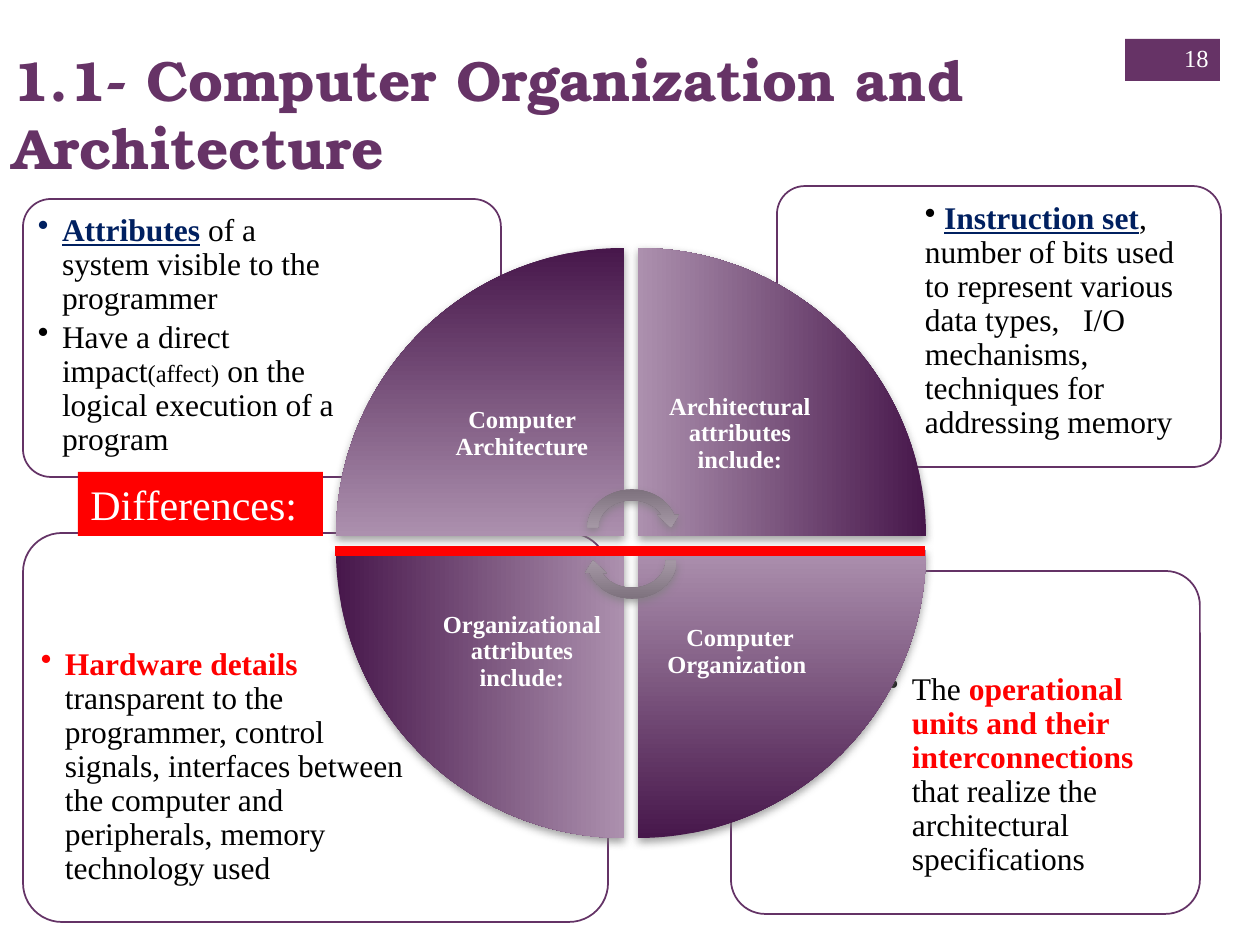
from lxml.etree import SubElement
from pptx import Presentation
from pptx.dml.color import RGBColor
from pptx.enum.shapes import MSO_CONNECTOR, MSO_SHAPE
from pptx.enum.text import MSO_ANCHOR, PP_ALIGN
from pptx.oxml.ns import qn
from pptx.util import Emu, Pt

PLUM, EDGE, RED, NAVY = "663366", "643366", "FF0000", "002060"
BLACK, WHITE = "000000", "FFFFFF"
SERIF = "Times New Roman"


def px(*nums):
    return [Emu(round(num * 914400 / 126)) for num in nums]


def paint(fill, *hues):
    """Fill with one colour, or with a gradient from top to bottom."""
    if len(hues) == 1:
        fill.solid()
        fill.fore_color.rgb = RGBColor.from_string(hues[0])
        return
    fill.gradient()
    fill.gradient_angle = 270
    for stop, hue in zip(fill.gradient_stops, hues):
        stop.color.rgb = RGBColor.from_string(hue)


deck = Presentation()
deck.slide_width, deck.slide_height = px(1260, 945)
slide = deck.slides.add_slide(deck.slide_layouts[6])
shapes = slide.shapes

badge = shapes.add_shape(MSO_SHAPE.RECTANGLE, *px(1125, 39, 95, 42))
badge.shadow.inherit = False
badge.line.fill.background()
paint(badge.fill, PLUM)

# Cards: place, text place, indents, paragraphs of (bullet colour, runs)
cards = [
    ((731, 571, 469, 343), (879, 664, 312, 242), (24, -24), [
        (BLACK, [("The ", BLACK, ""),
                 ("operational units and their interconnections ", RED, "b"),
                 ("that realize the architectural specifications", BLACK, "")])]),
    ((23, 533, 585, 389), (32, 639, 392, 275), (24, -24), [
        (RED, [("Hardware details ", RED, "b"),
               ("transparent to the programmer, control signals, interfaces "
                "between the computer and peripherals, memory technology used",
                BLACK, "")])]),
    ((777, 186, 444, 281), (916, 193, 297, 199), (0, -15), [
        (BLACK, [(" ", BLACK, ""), ("Instruction set", NAVY, "bu"),
                 (", number of bits used to represent various data types,   I/O "
                  "mechanisms, techniques for addressing memory", BLACK, "")])]),
    ((23, 199, 478, 278), (29, 205, 323, 197), (24, -24), [
        (NAVY, [("Attributes", NAVY, "bu"),
                (" of a system visible to the programmer", BLACK, "")]),
        (BLACK, [("Have a direct impact", BLACK, ""), ("(affect)", BLACK, "s"),
                 (" on the logical execution of a program", BLACK, "")])]),
]
for place, spot, (left, hang), items in cards:
    card = shapes.add_shape(MSO_SHAPE.ROUNDED_RECTANGLE, *px(*place))
    card.shadow.inherit = False
    card.adjustments[0] = 0.1
    paint(card.fill, WHITE)
    paint(card.line.fill, EDGE)
    card.line.width = Pt(1)

    frame = shapes.add_textbox(*px(*spot)).text_frame
    frame.word_wrap = True
    frame.margin_left, frame.margin_top, frame.margin_right, frame.margin_bottom = px(9, 9, 9, 9)
    for num, (dot, runs) in enumerate(items):
        para = frame.add_paragraph() if num else frame.paragraphs[0]
        para.level = 1
        para.line_spacing = 0.9
        para.space_before = Pt(2.7 if num else 0)
        props = para._p.get_or_add_pPr()
        for key, size in zip(("marL", "indent"), px(left, hang)):
            props.set(key, str(int(size)))
        tint = SubElement(props, qn("a:buClr"))
        SubElement(tint, qn("a:srgbClr"), val=dot)
        SubElement(props, qn("a:buChar"), char="•")
        para.font.name, para.font.size = SERIF, Pt(18)
        for words, hue, style in runs:
            run = para.add_run()
            run.text = words
            paint(run.font.fill, hue)
            if "b" in style:
                run.font.bold = True
            if "u" in style:
                run.font.underline = True
            if "s" in style:
                run.font.size = Pt(14)

# Wheel: wedges clockwise from top left, then the two arrows at the hub
DARK = ("47174B", "AC90AE")
GREY = ("796D79", "D3C5D3")
SIDE, BOX = 288, 204
wedges = [(336, 248, "Computer Architecture"),
          (638, 248, "Architectural attributes include:"),
          (638, 550, "Computer Organization "),
          (336, 550, "Organizational attributes include:")]
parts = [(MSO_SHAPE.PIE_WEDGE, (x, y, SIDE, SIDE), 90 * num, DARK, words)
         for num, (x, y, words) in enumerate(wedges)]
parts += [(MSO_SHAPE.CIRCULAR_ARROW, (582, y, 100, 87), turn, GREY, "")
          for y, turn in ((484, 0), (517, 180))]
for kind, place, turn, hues, words in parts:
    part = shapes.add_shape(kind, *px(*place))
    part.rotation = turn
    part.shadow.inherit = False
    part.line.fill.background()
    paint(part.fill, *hues)
    glow = SubElement(part._element.spPr.find(qn("a:effectLst")), qn("a:outerShdw"),
                      blurRad=str(Pt(5)), dist=str(Pt(2)), dir="5400000", rotWithShape="0")
    shade = SubElement(glow, qn("a:srgbClr"), val="808080")
    SubElement(shade, qn("a:alpha"), val="75000")
    if not words:
        continue
    x, y = place[:2]
    x += SIDE - BOX if x == 336 else 0
    y += SIDE - BOX if y == 248 else 0
    frame = shapes.add_textbox(*px(x, y, BOX, BOX)).text_frame
    frame.word_wrap = True
    frame.vertical_anchor = MSO_ANCHOR.MIDDLE
    frame.margin_left, frame.margin_top, frame.margin_right, frame.margin_bottom = px(14, 14, 14, 14)
    para = frame.paragraphs[0]
    para.text = words
    para.alignment = PP_ALIGN.CENTER
    para.line_spacing = 0.9
    para.font.name, para.font.size, para.font.bold = SERIF, Pt(14), True
    paint(para.font.fill, WHITE)

split = shapes.add_connector(MSO_CONNECTOR.STRAIGHT, *px(335, 551, 925, 551))
paint(split.line.fill, RED)
split.line.width = Pt(6)
SubElement(split._element.spPr, qn("a:effectLst"))

# Single lines: text, place, font, size, colour, bold, alignment, anchor, fill
LEFT, RIGHT = PP_ALIGN.LEFT, PP_ALIGN.RIGHT
TOP, MID = MSO_ANCHOR.TOP, MSO_ANCHOR.MIDDLE
lines = [
    ("1.1- Computer Organization and Architecture", (0, 39, 1260, 97),
     "TeX Gyre Bonum", 32.4, PLUM, True, LEFT, TOP, None),
    ("Differences:", (78, 472, 245, 64), SERIF, 24, WHITE, False, LEFT, TOP, RED),
    ("18", (1144, 33, 77, 50), SERIF, 14, WHITE, False, RIGHT, MID, None),
]
for words, place, face, size, hue, bold, align, anchor, back in lines:
    box = shapes.add_textbox(*px(*place))
    if back:
        paint(box.fill, back)
    box.text_frame.word_wrap = True
    box.text_frame.vertical_anchor = anchor
    para = box.text_frame.paragraphs[0]
    para.text = words
    para.alignment = align
    para.font.name, para.font.size, para.font.bold = face, Pt(size), bold
    paint(para.font.fill, hue)

deck.save("out.pptx")
